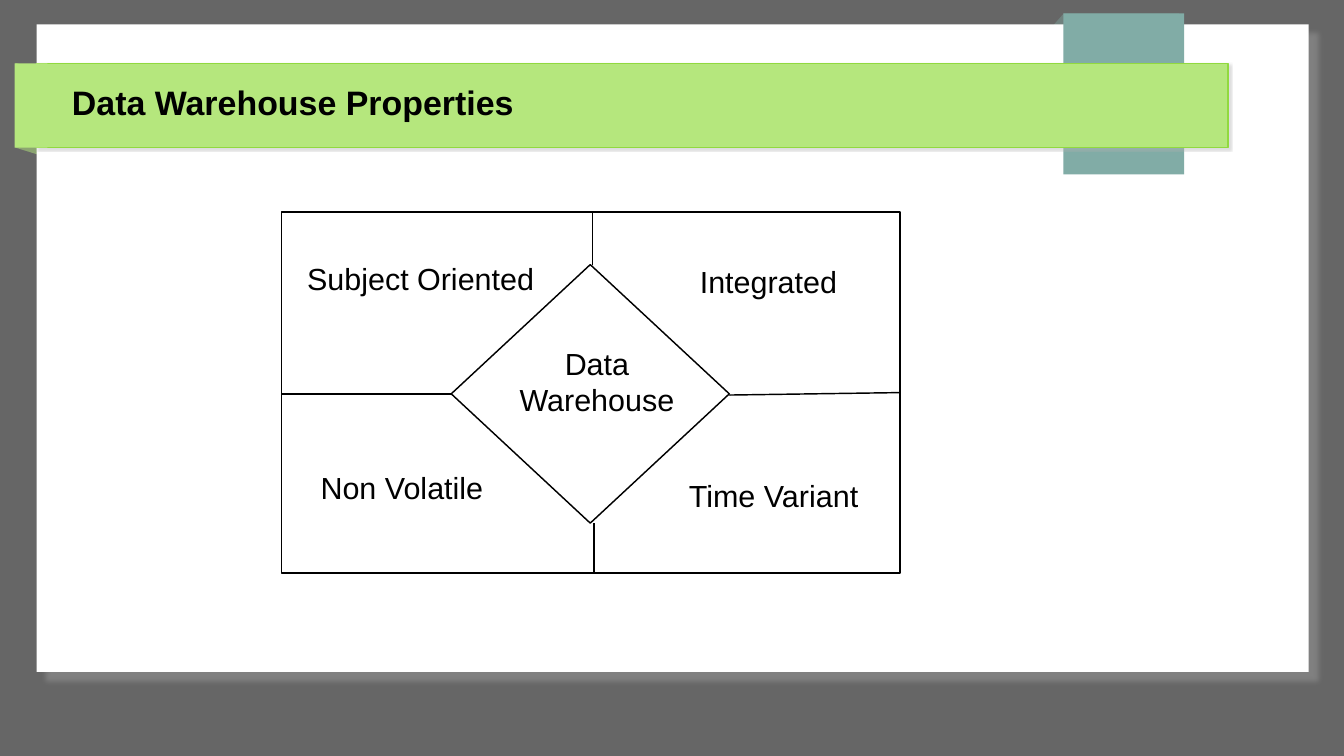
from lxml import etree
from pptx import Presentation
from pptx.dml.color import RGBColor
from pptx.enum.shapes import MSO_CONNECTOR, MSO_SHAPE
from pptx.enum.text import MSO_ANCHOR, PP_ALIGN
from pptx.oxml.ns import qn
from pptx.util import Inches, Pt

GREY = RGBColor(0x66, 0x66, 0x66)
WHITE = RGBColor(0xFF, 0xFF, 0xFF)
BLACK = RGBColor(0x00, 0x00, 0x00)
LIME = RGBColor(0xB5, 0xE7, 0x7D)
LEAF = RGBColor(0x91, 0xD9, 0x3F)
TEAL = RGBColor(0x81, 0xAC, 0xA6)
CARD_SHADOW = RGBColor(0x80, 0x80, 0x80)
BANNER_SHADOW = RGBColor(0xB2, 0xB2, 0xB2)
LINE_WIDTH = Pt(0.85)


def add_shape(s, kind, box, fill=None, line=None, alpha=None):
    sp = s.shapes.add_shape(kind, *map(Inches, box))
    sp.shadow.inherit = False
    if fill is None:
        sp.fill.background()
    else:
        sp.fill.solid()
        sp.fill.fore_color.rgb = fill
    if alpha is not None:
        color = sp.fill._xPr.find(qn("a:solidFill"))[0]
        etree.SubElement(color, qn("a:alpha"), val=str(alpha * 1000))
    if line is None:
        sp.line.fill.background()
    else:
        sp.line.color.rgb = line
        sp.line.width = LINE_WIDTH
    return sp


def add_shadow(sp, color, alpha, blur, dist):
    """Cast a shadow to the lower right; blur and dist are in points."""
    effects = sp._element.spPr.find(qn("a:effectLst"))
    shadow = etree.SubElement(
        effects, qn("a:outerShdw"), blurRad=str(Pt(blur)), dist=str(Pt(dist)),
        dir="2700000", algn="tl", rotWithShape="0")
    rgb = etree.SubElement(shadow, qn("a:srgbClr"), val=str(color))
    etree.SubElement(rgb, qn("a:alpha"), val=str(alpha * 1000))


def add_line(s, x1, y1, x2, y2):
    c = s.shapes.add_connector(MSO_CONNECTOR.STRAIGHT, *map(Inches, (x1, y1, x2, y2)))
    c.line.color.rgb = BLACK
    c.line.width = LINE_WIDTH
    etree.SubElement(c._element.spPr, qn("a:effectLst"))


def add_text(s, box, text, inset=(0.1, 0.05), anchor=MSO_ANCHOR.TOP, para=None, **font):
    tf = s.shapes.add_textbox(*map(Inches, box)).text_frame
    tf.word_wrap = True
    tf.vertical_anchor = anchor
    tf.margin_left = tf.margin_right = Inches(inset[0])
    tf.margin_top = tf.margin_bottom = Inches(inset[1])
    p = tf.paragraphs[0]
    for name, value in (para or {}).items():
        setattr(p, name, value)
    r = p.add_run()
    r.text = text
    for name, value in {"name": "Arial", "size": Pt(18), **font}.items():
        setattr(r.font, name, value)
    r.font.color.rgb = BLACK


def add_card(s, x, y, w, h):
    """Draw the white page with the teal ribbon hanging over its top edge."""
    fold = add_shape(s, MSO_SHAPE.PARALLELOGRAM, (x + 8.06, y - 0.09, 1.31, 0.41), TEAL, alpha=39)
    fold.adjustments[0] = 0.885
    card = add_shape(s, MSO_SHAPE.RECTANGLE, (x, y, w, h), WHITE)
    add_shadow(card, CARD_SHADOW, 100, 3, 8)
    add_shape(s, MSO_SHAPE.RECTANGLE, (x + 8.42, y - 0.09, 0.99, 1.32), TEAL)


def add_banner_fold(s, x, y):
    fold = add_shape(s, MSO_SHAPE.PARALLELOGRAM, (x, y, 0.94, 0.79), LIME, alpha=49)
    fold.rotation = 270
    fold.adjustments[0] = 0.31


def add_banner(s, x, y, w, h, title):
    banner = add_shape(s, MSO_SHAPE.RECTANGLE, (x, y, w, h), LIME, LEAF)
    add_shadow(banner, BANNER_SHADOW, 43, 1, 1.4)
    add_shape(s, MSO_SHAPE.RECTANGLE, (x - 0.18, y, 0.27, h), LIME)
    add_text(s, (x + 0.29, y - 0.03, w - 0.32, h), title, (0, 0), MSO_ANCHOR.MIDDLE,
             {"space_before": Pt(11.9), "space_after": Pt(9.9)}, size=Pt(20), bold=True)


def add_properties(s, x, y, w, h):
    """Draw four quarters around a diamond, each with its label."""
    left, top, right, bottom = x + 1.39, y + 0.43, x + 3.67, y + 2.55
    add_shape(s, MSO_SHAPE.RECTANGLE, (x, y, w, h), line=BLACK)
    add_shape(s, MSO_SHAPE.DIAMOND, (left, top, right - left, bottom - top), line=BLACK)
    for ends in (
        (x + 2.55, y, x + 2.55, top),
        (right, y + 1.5, x + w, y + 1.48),
        (left, y + 1.49, x, y + 1.49),
        (x + 2.56, bottom, x + 2.56, y + h),
    ):
        add_line(s, *ends)
    add_text(s, (x + 1.8, y + 1.04, 1.57, 0.94), "Data Warehouse",
             para={"alignment": PP_ALIGN.CENTER, "space_before": Pt(11.9),
                   "space_after": Pt(9.9)})
    for text, dx, dy, width in (
        ("Subject Oriented", 0.11, 0.34, 2.24),
        ("Integrated", 3.33, 0.37, 2.06),
        ("Non Volatile", 0.22, 2.06, 1.61),
        ("Time Variant", 3.24, 2.12, 1.64),
    ):
        add_text(s, (x + dx, y + dy, width, 0.38), text)


def main():
    prs = Presentation()
    prs.slide_width, prs.slide_height = Inches(11.02), Inches(6.2)
    s = prs.slides.add_slide(prs.slide_layouts[6])
    s.background.fill.solid()
    s.background.fill.fore_color.rgb = GREY
    add_banner_fold(s, 0.05, 0.59)
    add_card(s, 0.3, 0.2, 10.43, 5.31)
    add_banner(s, 0.3, 0.52, 9.77, 0.69, "Data Warehouse Properties")
    add_properties(s, 2.31, 1.74, 5.07, 2.96)
    prs.save("out.pptx")


if __name__ == "__main__":
    main()
